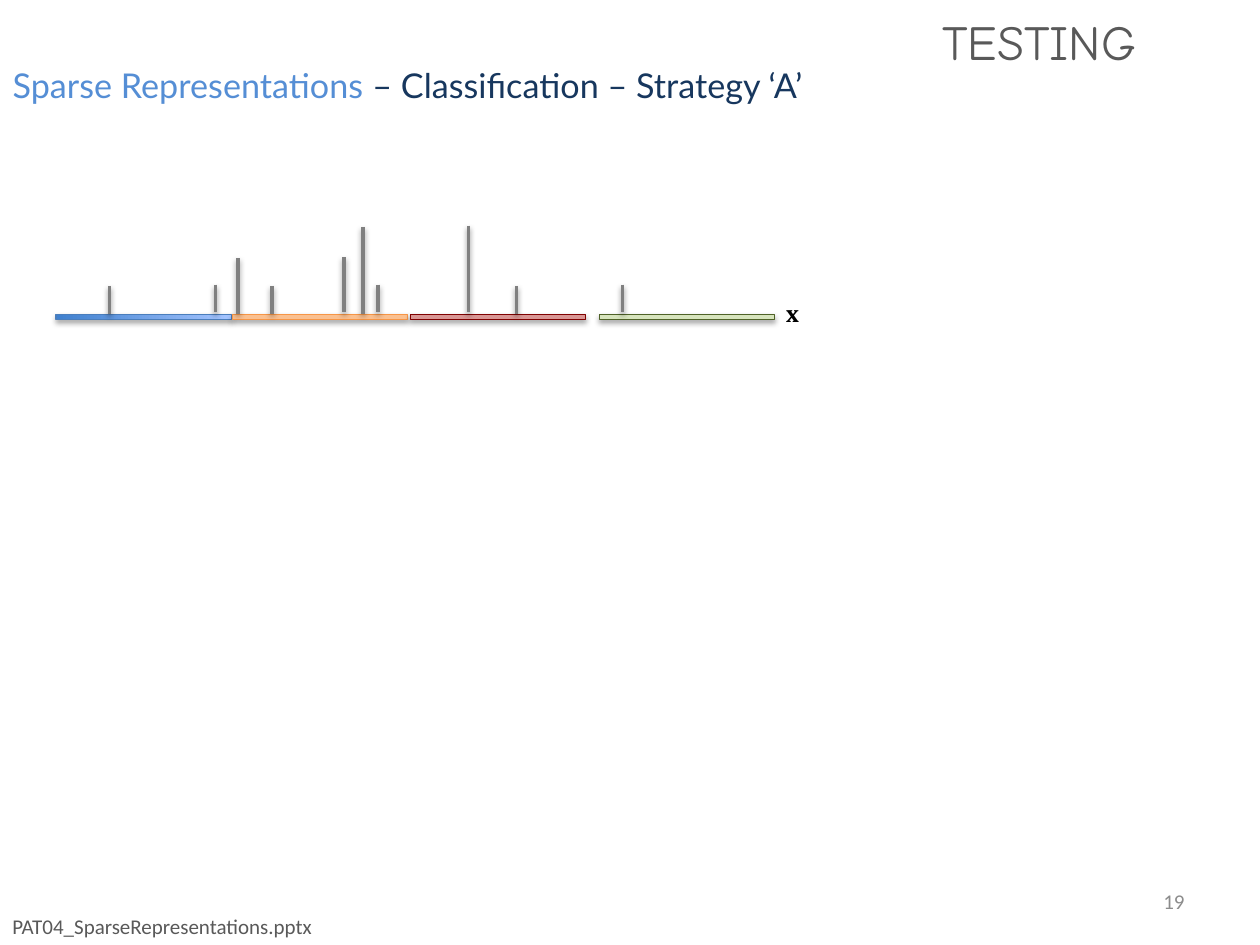
"""Build the slide on sparse representations, classification strategy 'A'."""
import pptx
import pptx.dml.color
import pptx.enum.shapes
import pptx.enum.text
import pptx.util
from lxml import etree
from pptx.oxml.ns import qn

RGB = pptx.dml.color.RGBColor
ALIGN = pptx.enum.text.PP_ALIGN
ANCHOR = pptx.enum.text.MSO_ANCHOR
Inches, Pt = pptx.util.Inches, pptx.util.Pt

SKY, NAVY = RGB(0x55, 0x8E, 0xD5), RGB(0x17, 0x37, 0x5E)
GREY, PALE_GREY = RGB(0x59, 0x59, 0x59), RGB(0x8C, 0x8C, 0x8C)
SPIKE_GREY, BLACK = RGB(0x80, 0x80, 0x80), RGB(0, 0, 0)
BLUE_DARK, BLUE_LIGHT = RGB(0x3F, 0x80, 0xCE), RGB(0xA4, 0xC4, 0xFF)
BLUE_EDGE = RGB(0x4B, 0x7E, 0xBC)
ORANGE, ORANGE_EDGE = RGB(0xFA, 0xC0, 0x90), RGB(0xF7, 0x96, 0x46)
RED, RED_EDGE = RGB(0xD9, 0x96, 0x94), RGB(0x80, 0, 0)
GREEN, GREEN_EDGE = RGB(0xD7, 0xE4, 0xBD), RGB(0x4F, 0x62, 0x28)

TITLE = [("Sparse Representations ", SKY), ("– Classification – Strategy ‘A’", NAVY)]
CLASSES = [
    (1.14, (BLUE_DARK, BLUE_LIGHT), BLUE_EDGE),
    (2.54, (ORANGE,), ORANGE_EDGE),
    (3.95, (RED,), RED_EDGE),
    (5.45, (GREEN,), GREEN_EDGE),
]
SPIKES = [(0.87, 0.22), (2.88, 0.69), (2.16, 0.22), (1.89, 0.44), (4.10, 0.22)]
SPIKE_SETS = [(0, 2.49), (0.84, 2.48)]
LABELS = [
    ("TESTING", (7.38, 0.04, 2.24, 0.57), ANCHOR.TOP, ALIGN.LEFT,
     {"name": "Comic Neue", "size": Pt(28)}, GREY),
    ("19", (7.17, 6.95, 2.33, 0.4), ANCHOR.MIDDLE, ALIGN.RIGHT,
     {"name": "Calibri", "size": Pt(12)}, PALE_GREY),
    ("PAT04_SparseRepresentations.pptx", (0, 7.2, 2.61, 0.3), ANCHOR.TOP, ALIGN.LEFT,
     {"name": "Calibri", "size": Pt(12)}, GREY),
]
VECTOR_LABEL = ("x", (6.14, 2.32, 0.33, 0.34), ANCHOR.TOP, ALIGN.LEFT,
                {"name": "Cambria", "size": Pt(14), "bold": True}, BLACK)
BAR_LENGTH, BAR_THICKNESS, BAR_MIDDLE = 1.39, 0.04, 2.515


def style(font, values, color):
    for key, value in values.items():
        setattr(font, key, value)
    font.color.rgb = color


def cast_shadow(part, opacity, distance):
    properties = part._element.spPr
    for old in properties.findall(qn("a:effectLst")):
        properties.remove(old)
    effects = etree.SubElement(properties, qn("a:effectLst"))
    shadow = etree.SubElement(effects, qn("a:outerShdw"), blurRad=str(Pt(3.1)),
                              dist=str(Pt(distance)), dir="5400000", rotWithShape="0")
    tint = etree.SubElement(shadow, qn("a:srgbClr"), val="000000")
    etree.SubElement(tint, qn("a:alpha"), val=str(opacity * 1000))


def add_label(shapes, text, place, anchor, align, font, color):
    label = shapes.add_textbox(*map(Inches, place))
    frame = label.text_frame
    frame.word_wrap = align == ALIGN.RIGHT
    frame.vertical_anchor = anchor
    paragraph = frame.paragraphs[0]
    paragraph.alignment = align
    run = paragraph.add_run()
    run.text = text
    style(run.font, font, color)


def add_class_bar(shapes, center, colors, edge):
    bar = shapes.add_shape(
        pptx.enum.shapes.MSO_SHAPE.RECTANGLE,
        Inches(center - BAR_THICKNESS / 2), Inches(BAR_MIDDLE - BAR_LENGTH / 2),
        Inches(BAR_THICKNESS), Inches(BAR_LENGTH))
    bar.rotation = 90
    if len(colors) > 1:
        bar.fill.gradient()
        bar.fill.gradient_angle = 90
        for stop, color, position in zip(bar.fill.gradient_stops, colors, (0, 1)):
            stop.color.rgb, stop.position = color, position
    else:
        bar.fill.solid()
        bar.fill.fore_color.rgb = colors[0]
    bar.line.color.rgb = edge
    bar.line.width = Pt(0.75)
    cast_shadow(bar, 35, 1.8)


def add_spike(shapes, x, base, height):
    spike = shapes.add_connector(pptx.enum.shapes.MSO_CONNECTOR.STRAIGHT,
                                 Inches(x), Inches(base - height), Inches(x), Inches(base))
    spike.line.color.rgb = SPIKE_GREY
    spike.line.width = Pt(2)
    cast_shadow(spike, 38, 1.6)


def main():
    deck = pptx.Presentation()
    deck.slide_width, deck.slide_height = Inches(10), Inches(7.5)
    slide = deck.slides.add_slide(deck.slide_layouts[5])

    title = slide.shapes.title
    title.left, title.top, title.width, title.height = map(Inches, (0, 0.04, 7.6, 1.26))
    title.text_frame.vertical_anchor = ANCHOR.MIDDLE
    heading = title.text_frame.paragraphs[0]
    heading.alignment = ALIGN.LEFT
    for text, color in TITLE:
        run = heading.add_run()
        run.text = text
        style(run.font, {"name": "Lato", "size": Pt(19.5)}, color)

    vector = slide.shapes.add_group_shape().shapes
    for bar in CLASSES:
        add_class_bar(vector, *bar)
    add_label(vector, *VECTOR_LABEL)

    for shift, base in SPIKE_SETS:
        coefficients = slide.shapes.add_group_shape().shapes
        for x, height in SPIKES:
            add_spike(coefficients, x + shift, base, height)

    for label in LABELS:
        add_label(slide.shapes, *label)

    deck.save("out.pptx")


if __name__ == "__main__":
    main()
